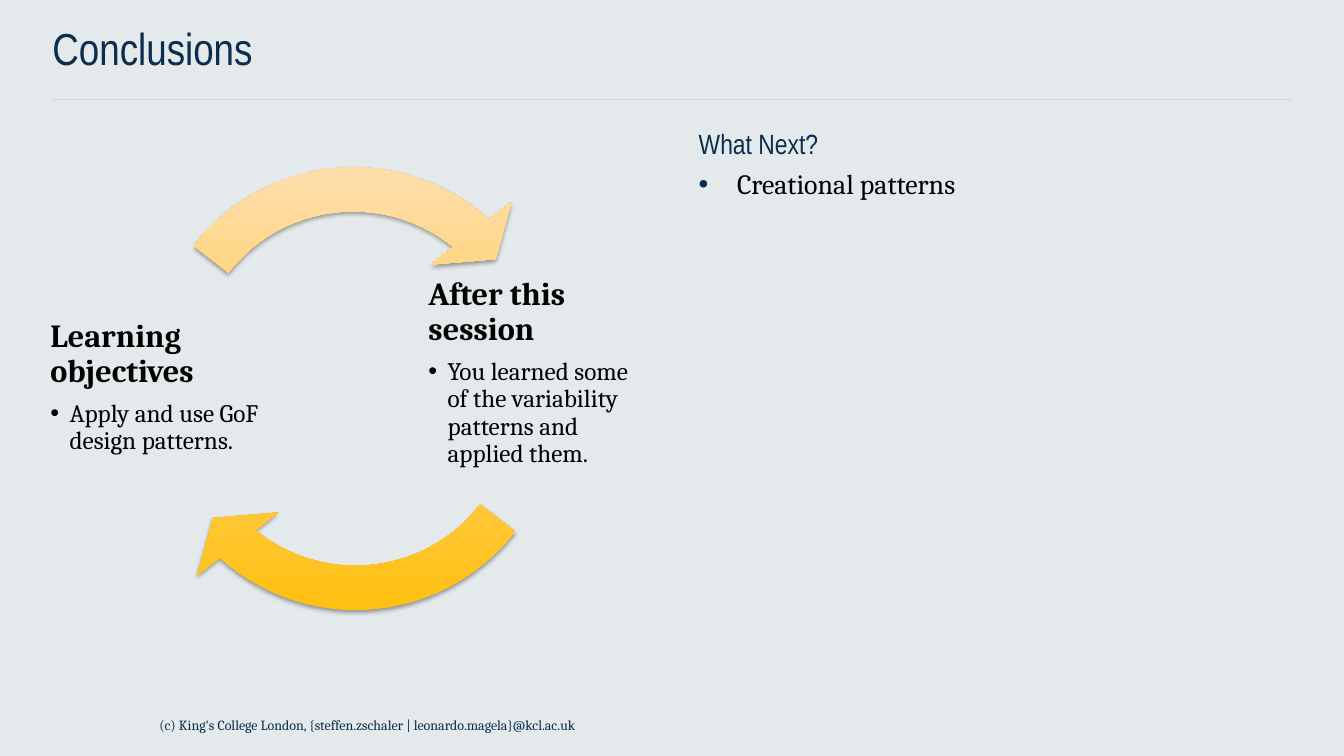
from lxml.etree import SubElement
from pptx import Presentation
from pptx.dml.color import RGBColor
from pptx.enum.shapes import MSO_CONNECTOR, MSO_SHAPE
from pptx.enum.text import MSO_ANCHOR, MSO_AUTO_SIZE, PP_ALIGN
from pptx.oxml.ns import qn
from pptx.util import Inches, Pt

NAVY = RGBColor(0x0A, 0x2D, 0x50)
BLACK = RGBColor(0x00, 0x00, 0x00)
RULE_GREY = RGBColor(0xCD, 0xD7, 0xDC)
PALE_GREY = RGBColor(0xE4, 0xE9, 0xEB)
AMBER = RGBColor(0xFF, 0xBE, 0x05)
PEACH = RGBColor(0xFF, 0xE0, 0xB8)
HEADING_FONT = "Arial Narrow"
TEXT_FONT = "Cambria"


def place(shape, left, top, width, height):
    shape.left, shape.top = Inches(left), Inches(top)
    shape.width, shape.height = Inches(width), Inches(height)


def prepare_frame(shape, inset=0, anchor=MSO_ANCHOR.TOP):
    frame = shape.text_frame
    frame.word_wrap = True
    frame.auto_size = MSO_AUTO_SIZE.NONE
    frame.vertical_anchor = anchor
    frame.margin_left = frame.margin_right = Inches(inset)
    frame.margin_top = frame.margin_bottom = Inches(inset)
    return frame


def set_bullet(para, indent, color=None):
    """Give the paragraph a hanging bullet, or none when indent is 0."""
    props = para._p.get_or_add_pPr()
    props.set("marL", str(Inches(indent)))
    props.set("indent", str(-Inches(indent)))
    if not indent:
        SubElement(props, qn("a:buNone"))
        return
    if color is not None:
        bullet_color = SubElement(props, qn("a:buClr"))
        SubElement(bullet_color, qn("a:srgbClr")).set("val", str(color))
    SubElement(props, qn("a:buFont")).set("typeface", "Arial")
    SubElement(props, qn("a:buChar")).set("char", "•")


def write(para, text, size, font, color, bold=False, spacing=1.0, after=0):
    para.text = text
    para.alignment = PP_ALIGN.LEFT
    para.line_spacing = spacing
    para.space_before = Pt(0)
    para.space_after = Pt(after)
    para.font.size = Pt(size)
    para.font.name = font
    para.font.color.rgb = color
    para.font.bold = bold


def add_rule(page):
    rule = page.shapes.add_connector(
        MSO_CONNECTOR.STRAIGHT, Inches(0.52), Inches(0.99), Inches(12.81), Inches(0.99))
    rule.line.color.rgb = RULE_GREY
    rule.line.width = Pt(1)
    SubElement(rule._element.spPr, qn("a:effectLst"))


def add_cycle_text(page, left, width, heading, point, bottom_inset):
    box = page.shapes.add_textbox(Inches(left), Inches(2.73), Inches(width), Inches(2.23))
    frame = prepare_frame(box, 0.03, MSO_ANCHOR.MIDDLE)
    frame.margin_bottom = Inches(bottom_inset)
    write(frame.paragraphs[0], heading, 23, TEXT_FONT, BLACK, True, 0.9, 8)
    para = frame.add_paragraph()
    para.level = 1
    set_bullet(para, 0.19)
    write(para, point, 18, TEXT_FONT, BLACK, spacing=0.9)


def add_cycle_arrow(page, left, top, end_angle, start_angle):
    arrow = page.shapes.add_shape(
        MSO_SHAPE.CIRCULAR_ARROW, Inches(left), Inches(top), Inches(4.59), Inches(4.59))
    for index, value in enumerate((0.095, 6.856, end_angle, start_angle, 0.111)):
        arrow.adjustments[index] = value
    arrow.fill.gradient()
    arrow.fill.gradient_angle = 90
    for stop, color in zip(arrow.fill.gradient_stops, (AMBER, PEACH)):
        stop.color.rgb = color
    arrow.line.fill.background()
    # Soft shadow straight below
    arrow.shadow.inherit = False
    effects = arrow._element.spPr.find(qn("a:effectLst"))
    shadow = SubElement(effects, qn("a:outerShdw"), blurRad=str(Pt(3.1)),
                        dist=str(Pt(1.8)), dir="5400000", rotWithShape="0")
    shade = SubElement(shadow, qn("a:srgbClr"), val=str(BLACK))
    SubElement(shade, qn("a:alpha"), val="35000")


def main():
    deck = Presentation()
    deck.slide_width, deck.slide_height = Inches(13.33), Inches(7.5)
    page = deck.slides.add_slide(deck.slide_layouts[1])
    page.background.fill.solid()
    page.background.fill.fore_color.rgb = PALE_GREY

    # Title
    add_rule(page)
    title = page.shapes.title
    place(title, 0.52, 0.21, 12.28, 0.79)
    write(prepare_frame(title).paragraphs[0], "Conclusions", 32, HEADING_FONT, NAVY)

    # Next steps
    body = page.placeholders[1]
    place(body, 6.93, 1.19, 5.88, 5.45)
    frame = prepare_frame(body)
    set_bullet(frame.paragraphs[0], 0)
    write(frame.paragraphs[0], "What Next?", 19.9, HEADING_FONT, NAVY, spacing=1.2)
    para = frame.add_paragraph()
    set_bullet(para, 0.38, NAVY)
    write(para, "Creational patterns", 19.9, TEXT_FONT, BLACK, spacing=1.2)

    # Learning cycle
    add_cycle_text(page, 4.22, 2.23, "After this session",
                   "You learned some of the variability patterns and applied them.", 0.32)
    add_cycle_arrow(page, 1.23, 1.75, 78.477, 22.667)
    add_cycle_text(page, 0.47, 2.44, "Learning objectives",
                   "Apply and use GoF design patterns.", 0.03)
    add_cycle_arrow(page, 1.21, 1.37, 186.477, 130.667)

    # Footer
    footer = page.shapes.add_textbox(Inches(1.58), Inches(7.11), Inches(10.23), Inches(0.39))
    write(prepare_frame(footer).paragraphs[0],
          "(c) King's College London, {steffen.zschaler | leonardo.magela}@kcl.ac.uk",
          10, TEXT_FONT, NAVY)

    deck.save("out.pptx")


if __name__ == "__main__":
    main()
